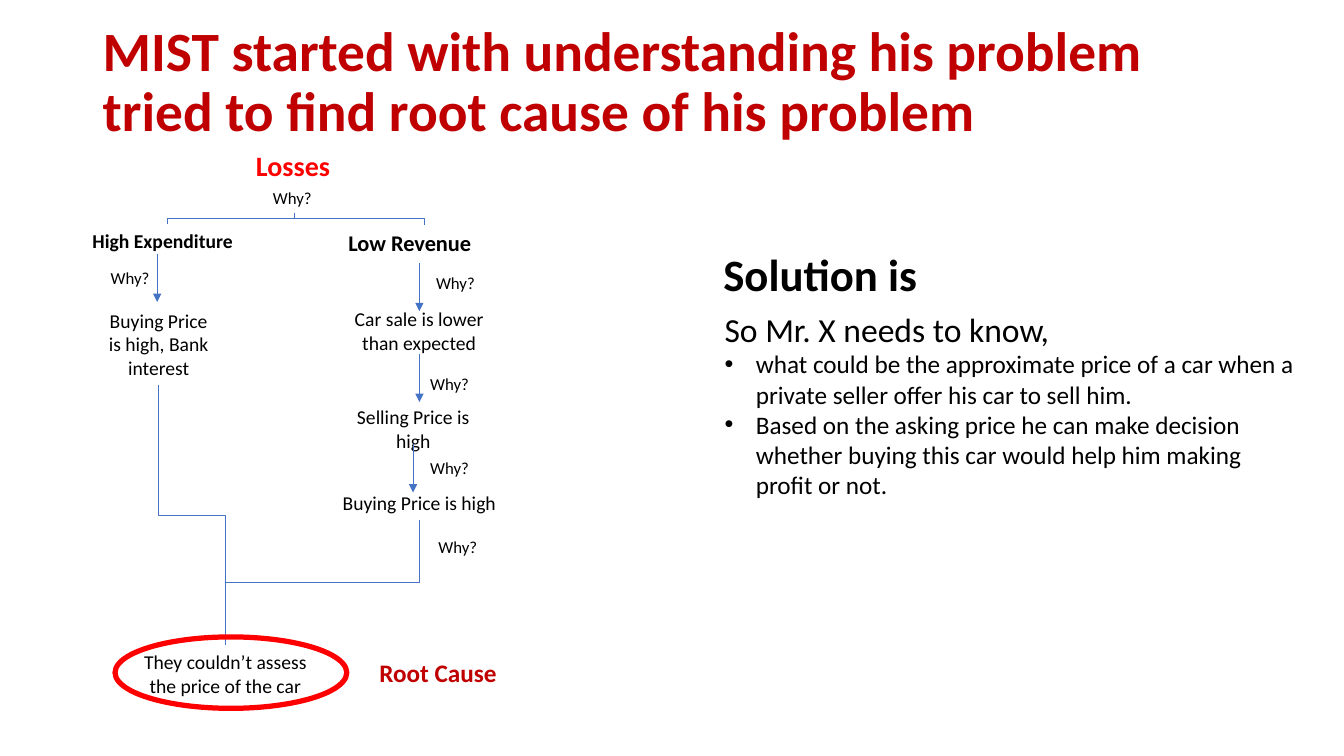
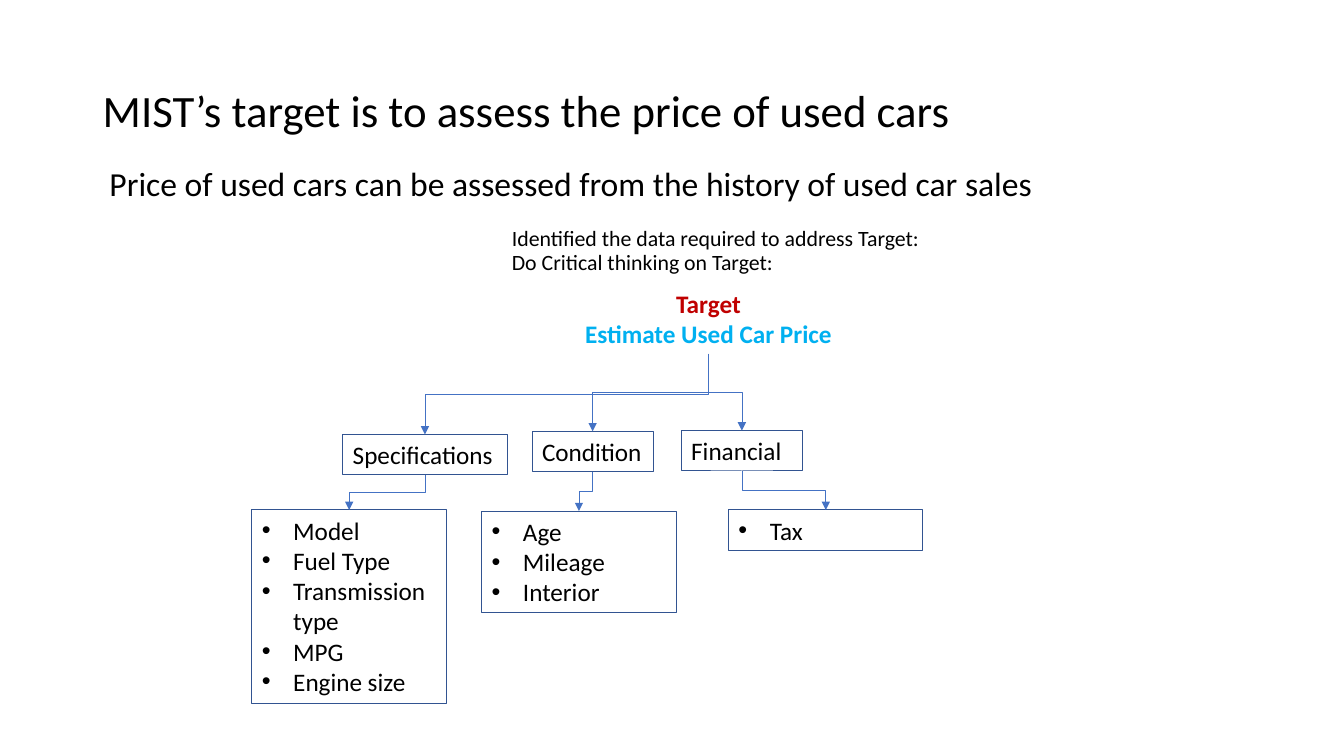
from lxml.etree import SubElement
from pptx import Presentation
from pptx.dml.color import RGBColor
from pptx.enum.shapes import MSO_CONNECTOR, MSO_SHAPE
from pptx.enum.text import MSO_ANCHOR, PP_ALIGN
from pptx.oxml.ns import qn
from pptx.util import Cm, Pt

COLORS = {
    "black": "000000",
    "crimson": "C00000",
    "red": "FF0000",
    "sky": "00B0F0",
    "connector": "4472C4",
    "border": "325491",
}
CENTER = {"alignment": PP_ALIGN.CENTER}
TIGHT = {"line_spacing": 0.9}


class Deck:
    """Hold the shared style and the current slide."""

    font_name = "Calibri"
    bullet_indent = Cm(0.79)

    def __init__(self):
        self.presentation = Presentation()
        self.presentation.slide_width = Cm(33.87)
        self.presentation.slide_height = Cm(19.05)
        self.slide = None

    def new_slide(self, title, height, **style):
        self.slide = self.presentation.slides.add_slide(self.presentation.slide_layouts[6])
        self.label((2.34, 1.02, 29.21, height), [title],
                   anchor=MSO_ANCHOR.MIDDLE, layout=TIGHT, **style)

    def label(self, box, lines, **style):
        frame = self.slide.shapes.add_textbox(*map(Cm, box)).text_frame
        self.fill_text(frame, lines, **style)

    def fill_text(self, frame, lines, size=18, color="black", bold=False,
                  bullets=False, anchor=MSO_ANCHOR.TOP, layout=None):
        frame.word_wrap = True
        frame.vertical_anchor = anchor
        for number, line in enumerate(lines):
            paragraph = frame.add_paragraph() if number else frame.paragraphs[0]
            text, own_color = line if isinstance(line, tuple) else (line, color)
            paragraph.text = text
            paragraph_format = {"alignment": PP_ALIGN.LEFT, **(layout or {})}
            for name, value in paragraph_format.items():
                setattr(paragraph, name, value)
            font_format = {"name": self.font_name, "size": Pt(size), "bold": bold}
            for run in paragraph.runs:
                for name, value in font_format.items():
                    setattr(run.font, name, value)
                run.font.color.rgb = RGBColor.from_string(COLORS[own_color])
            if bullets:
                self.bullet(paragraph)

    def bullet(self, paragraph):
        properties = paragraph._p.get_or_add_pPr()
        properties.set("marL", str(self.bullet_indent))
        properties.set("indent", str(-self.bullet_indent))
        SubElement(properties, qn("a:buFont")).set("typeface", "Arial")
        SubElement(properties, qn("a:buChar")).set("char", "•")

    def outline(self, box, lines=(), kind=MSO_SHAPE.RECTANGLE, color="border",
                width=0.75, **style):
        shape = self.slide.shapes.add_shape(kind, *map(Cm, box))
        shape.shadow.inherit = False
        shape.fill.background()
        self.stroke(shape, color, width)
        self.fill_text(shape.text_frame, lines, **style)

    def stroke(self, item, color, width):
        item.line.color.rgb = RGBColor.from_string(COLORS[color])
        item.line.width = Pt(width)

    def connect(self, start, end, arrow=False):
        (x1, y1), (x2, y2) = start, end
        if x1 == x2:
            link = self.slide.shapes.add_connector(
                MSO_CONNECTOR.STRAIGHT, Cm(x1), Cm(y1), Cm(x2), Cm(y2))
        else:
            link = self.elbow(x1, y1, x2, y2)
        self.stroke(link, "connector", 0.5)
        SubElement(link._element.spPr, qn("a:effectLst"))
        if arrow:
            SubElement(link.line._get_or_add_ln(), qn("a:tailEnd")).set("type", "triangle")

    def elbow(self, x1, y1, x2, y2):
        middle_x, middle_y = (x1 + x2) / 2, (y1 + y2) / 2
        half_drop, half_run = (y2 - y1) / 2, abs(x2 - x1) / 2
        side = 1 if x2 > x1 else -1
        link = self.slide.shapes.add_connector(
            MSO_CONNECTOR.ELBOW,
            Cm(middle_x + side * half_drop), Cm(middle_y - half_run),
            Cm(middle_x - side * half_drop), Cm(middle_y + half_run))
        quarter_turns = 3 if side > 0 else 1
        link._element.spPr.xfrm.set("rot", str(quarter_turns * 5400000))
        return link


def root_cause_slide(deck):
    deck.new_slide("MIST started with understanding his problem tried to find root cause "
                   "of his problem", 2.16, size=39.6, color="crimson", bold=True)

    deck.label((6.2, 3.63, 2.84, 1.12), ["Losses"], size=20, color="red", bold=True)
    deck.label((2.08, 5.64, 4.29, 0.86), ["High Expenditure"], size=14, bold=True)
    deck.label((8.53, 5.66, 4.32, 0.94), ["Low Revenue"], size=16, bold=True)

    causes = [
        ((2.41, 7.65, 3.18, 2.06), "Buying Price is high, Bank interest"),
        ((8.48, 7.62, 4.17, 1.45), "Car sale is lower than expected"),
        ((8.33, 10.08, 4.17, 1.45), "Selling Price is high"),
        ((7.85, 12.24, 5.44, 0.86), "Buying Price is high"),
        ((3.23, 16.26, 4.9, 1.45), "They couldn’t assess the price of the car"),
    ]
    for box, cause in causes:
        deck.label(box, [cause], size=14, layout=CENTER)

    questions = [(6.63, 4.6), (2.54, 6.63), (10.74, 6.76),
                 (10.59, 9.3), (10.59, 11.4), (10.8, 13.39)]
    for left, top in questions:
        deck.label((left, top, 1.57, 0.76), ["Why?"], size=12)

    arrow_length = 1.21
    for x, y in [(3.96, 6.4), (10.57, 6.63), (10.57, 8.92), (10.41, 11.2)]:
        deck.connect((x, y), (x, y + arrow_length), arrow=True)

    losses, root = (7.42, 5.36), (5.69, 16.26)
    for branch in [(4.22, 5.64), (10.69, 5.66)]:
        deck.connect(losses, branch)
    for last_cause in [(3.99, 9.7), (10.57, 13.11)]:
        deck.connect(last_cause, root)

    deck.outline((2.9, 16.05, 5.84, 1.8), kind=MSO_SHAPE.OVAL, color="red", width=3.75)
    deck.label((8.79, 16.43, 4.5, 1.02), ["Root Cause"],
               color="crimson", bold=True, layout=CENTER)

    deck.label((17.98, 6.1, 7.82, 1.63), ["Solution is"], size=32, bold=True)
    deck.label((18.01, 7.65, 14.91, 1.27), ["So Mr. X needs to know,"], size=24)
    deck.label((18.01, 8.66, 14.91, 4.12), [
        "what could be the approximate price of a car when a private seller offer "
        "his car to sell him.",
        "Based on the asking price he can make decision whether buying this car would "
        "help him making profit or not.",
    ], bullets=True)


def target_slide(deck):
    deck.new_slide("MIST’s target is to assess the price of used cars", 3.68, size=32)
    deck.label((2.51, 3.99, 26.37, 1.27),
               ["Price of used cars can be assessed from the history of used car sales"],
               size=24)
    deck.label((12.65, 4.7, 11.46, 3.28),
               ["Identified the data required to address Target:\v"
                "Do Critical thinking on Target:"],
               size=15.6, anchor=MSO_ANCHOR.MIDDLE, layout=TIGHT)
    deck.label((13.74, 7.14, 8.23, 1.8),
               [("Target", "crimson"), ("Estimate Used Car Price", "sky")],
               bold=True, layout=CENTER)

    target = (17.86, 8.92)
    factor_height, list_width = 1.02, 4.9
    line_height, padding = 0.77, 0.25
    factors = [
        ("Specifications", (8.64, 10.95, 4.14), (6.35, 12.85), 6,
         ["Model", "Fuel Type", "Transmission type", "MPG", "Engine size"]),
        ("Condition", (13.41, 10.87, 3.05), (12.14, 12.88), 3,
         ["Age", "Mileage", "Interior"]),
        ("Financial", (17.17, 10.85, 3.05), (18.36, 12.85), 1, ["Tax"]),
    ]
    for factor, (left, top, width), (list_left, list_top), line_count, fields in factors:
        center = left + width / 2
        deck.outline((left, top, width, factor_height), [factor])
        deck.outline((list_left, list_top, list_width, padding + line_count * line_height),
                     fields, bullets=True)
        deck.connect(target, (center, top), arrow=True)
        deck.connect((center, top + factor_height),
                     (list_left + list_width / 2, list_top), arrow=True)


def main():
    deck = Deck()
    root_cause_slide(deck)
    target_slide(deck)
    deck.presentation.save("out.pptx")


if __name__ == "__main__":
    main()
